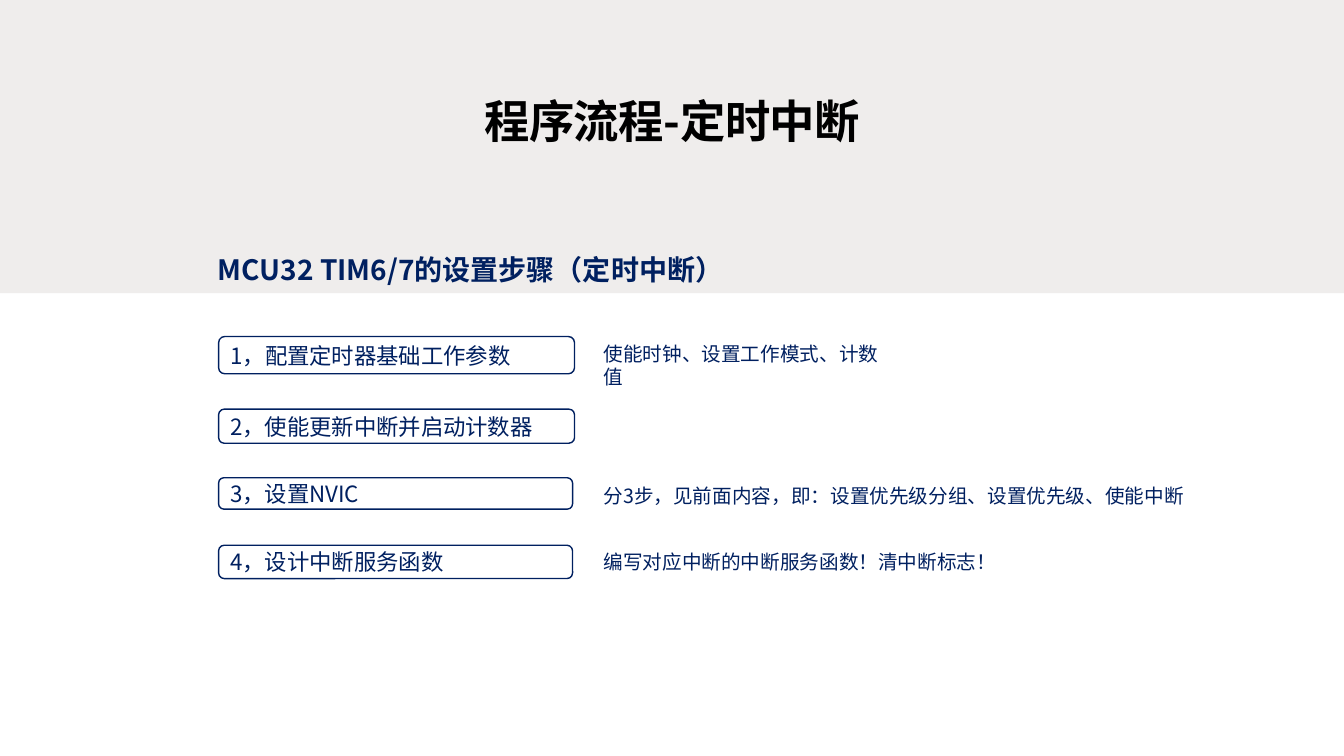
from pptx import Presentation
from pptx.dml.color import RGBColor
from pptx.enum.shapes import MSO_SHAPE as Shape
from pptx.enum.text import MSO_ANCHOR as Anchor, MSO_AUTO_SIZE as AutoSize, PP_ALIGN as Align
from pptx.oxml.ns import qn
from pptx.util import Cm, Pt
from lxml.etree import SubElement

FONT = "Noto Sans CJK SC"
COLOURS = {"band": "EFEDEC", "title": "000000", "navy": "002060", "white": "FFFFFF"}

STEP_LEFT, NOTE_LEFT = 5.51, 14.96

# top, width, height, step, note top, note width, note (cm)
STEPS = [
    (8.48, 8.97, 0.94, "1，配置定时器基础工作参数", 8.48, 7.92, "使能时钟、设置工作模式、计数值"),
    (10.31, 8.97, 0.86, "2，使能更新中断并启动计数器", None, None, None),
    (12.04, 8.92, 0.79, "3，设置NVIC", 12.07, 15.29,
     "分3步，见前面内容，即：设置优先级分组、设置优先级、使能中断"),
    (13.74, 8.92, 0.84, "4，设计中断服务函数", 13.74, 14.48,
     "编写对应中断的中断服务函数！清中断标志！"),
]


def colour(name):
    return RGBColor.from_string(COLOURS[name])


def write(frame, text, size, ink="navy", bold=False, align=Align.LEFT, tracking=None):
    """Fill the frame with one paragraph, its font also set for East Asian text."""
    frame.word_wrap = True
    para = frame.paragraphs[0]
    para.text = text
    para.alignment = align
    font = para.font
    font.size, font.bold, font.name = Pt(size), bold, FONT
    font.color.rgb = colour(ink)
    props = para._p.pPr.find(qn("a:defRPr"))
    SubElement(props, qn("a:ea"), typeface=FONT)
    if tracking is not None:
        props.set("spc", str(round(tracking * 100)))
    return para


def add_block(page, kind, left, top, width, height, fill, line=None):
    block = page.shapes.add_shape(kind, Cm(left), Cm(top), Cm(width), Cm(height))
    block.shadow.inherit = False
    block.fill.solid()
    block.fill.fore_color.rgb = colour(fill)
    if line:
        block.line.color.rgb = colour(line)
        block.line.width = Pt(1)
    else:
        block.line.fill.background()
    return block


def add_text(page, left, top, width, height, text, size, bold=False):
    box = page.shapes.add_textbox(Cm(left), Cm(top), Cm(width), Cm(height))
    box.text_frame.auto_size = AutoSize.SHAPE_TO_FIT_TEXT
    return box.text_frame, write(box.text_frame, text, size, bold=bold)


def set_title(page, text):
    title = page.shapes.title
    title.left, title.top, title.width, title.height = Cm(1.7), Cm(2.16), Cm(30.48), Cm(1.75)
    frame = title.text_frame
    frame.auto_size = AutoSize.NONE
    frame.vertical_anchor = Anchor.MIDDLE
    write(frame, text, 32.4, "title", True, Align.CENTER, tracking=-0.5)


def add_band(page):
    """Put the grey band behind the title."""
    band = add_block(page, Shape.RECTANGLE, 0, 0, 33.87, 7.39, "band")
    page.shapes.title._element.addprevious(band._element)


def add_heading(page, text):
    frame, para = add_text(page, 5.36, 5.89, 15.14, 1.4, text, 20, bold=True)
    frame.margin_left = frame.margin_right = Cm(0.13)
    frame.margin_top = frame.margin_bottom = Cm(0.05)
    para.line_spacing = 1.5


def add_step(page, top, width, height, text):
    step = add_block(page, Shape.ROUNDED_RECTANGLE, STEP_LEFT, top, width, height, "white", "navy")
    step.text_frame.vertical_anchor = Anchor.MIDDLE
    write(step.text_frame, text, 16)


def main():
    deck = Presentation()
    deck.slide_width, deck.slide_height = Cm(33.87), Cm(19.05)
    page = deck.slides.add_slide(deck.slide_layouts[5])
    add_band(page)
    set_title(page, "程序流程-定时中断")
    add_heading(page, "MCU32 TIM6/7的设置步骤（定时中断）")
    for top, width, height, step, note_top, note_width, note in STEPS:
        add_step(page, top, width, height, step)
        if note:
            add_text(page, NOTE_LEFT, note_top, note_width, 0.86, note, 14)
    deck.save("out.pptx")


if __name__ == "__main__":
    main()
